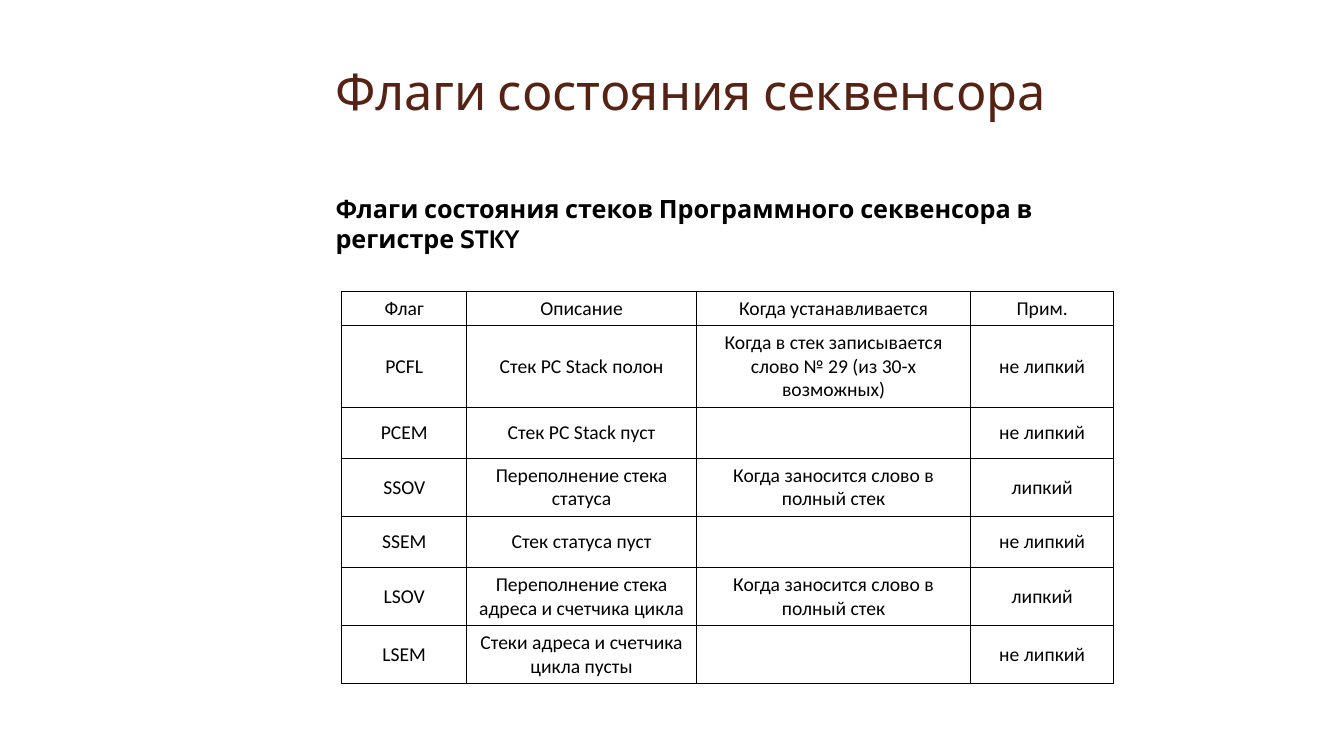
from lxml import etree
from pptx import Presentation
from pptx.dml.color import RGBColor
from pptx.enum.text import MSO_ANCHOR, PP_ALIGN
from pptx.oxml.ns import qn
from pptx.util import Inches, Pt

BOTTOM, MIDDLE, TOP = MSO_ANCHOR.BOTTOM, MSO_ANCHOR.MIDDLE, MSO_ANCHOR.TOP
CENTER = PP_ALIGN.CENTER

HEADING = "Флаги состояния секвенсора"
SUBHEADING = "Флаги состояния стеков Программного секвенсора в регистре STKY"
FULL_STACK = "Когда заносится слово в полный стек"
FLAGS = [
    ("Флаг", "Описание", "Когда устанавливается", "Прим."),
    ("PCFL", "Стек PC Stack полон",
     "Когда в стек записывается слово № 29 (из 30-х возможных)", "не липкий"),
    ("PCEM", "Стек PC Stack пуст", "", "не липкий"),
    ("SSOV", "Переполнение стека статуса", FULL_STACK, "липкий"),
    ("SSEM", "Стек статуса пуст", "", "не липкий"),
    ("LSOV", "Переполнение стека адреса и счетчика цикла", FULL_STACK, "липкий"),
    ("LSEM", "Стеки адреса и счетчика цикла пусты", "", "не липкий"),
]
COLUMN_SHARES = [9.3, 17.1, 20.4, 10.65]
ONE_LINE, TWO_LINES = 6.76, 7.7
ROW_SHARES = [4.53, 10.8, ONE_LINE, TWO_LINES, ONE_LINE, TWO_LINES, TWO_LINES]


def rgb(value):
    return RGBColor.from_string(value)


class FlagSlide:
    """Places elements on a slide by percentages of its width and height."""
    text_font, table_font = "Cabin", "Calibri"
    brown, black = "562214", "000000"

    def __init__(self, prs):
        self.width, self.height = prs.slide_width, prs.slide_height
        self.slide = prs.slides.add_slide(prs.slide_layouts[6])

    def x(self, share):
        return round(self.width * share / 100)

    def y(self, share):
        return round(self.height * share / 100)

    def style(self, p, font, size, color, bold=False):
        p.font.name, p.font.size, p.font.bold = font, Pt(size), bold
        p.font.color.rgb = rgb(color)

    def text(self, text, left, top, width, height, size, color,
             bold=False, anchor=TOP, spacing=1.0):
        sp = self.slide.shapes.add_textbox(
            self.x(left), self.y(top), self.x(width), self.y(height))
        tf = sp.text_frame
        tf.word_wrap, tf.vertical_anchor = True, anchor
        p = tf.paragraphs[0]
        p.text, p.line_spacing = text, spacing
        self.style(p, self.text_font, size, color, bold)

    def border(self, cell):
        props = cell._tc.get_or_add_tcPr()
        for position, side in enumerate(("lnL", "lnR", "lnT", "lnB")):
            line = etree.Element(qn(f"a:{side}"), w=str(Pt(1)))
            fill = etree.SubElement(line, qn("a:solidFill"))
            etree.SubElement(fill, qn("a:srgbClr"), val=self.black)
            props.insert(position, line)

    def table(self, rows, left, top, column_shares, row_shares, size):
        frame = self.slide.shapes.add_table(
            len(rows), len(column_shares), self.x(left), self.y(top),
            self.x(sum(column_shares)), self.y(sum(row_shares)))
        table = frame.table
        table.first_row = table.horz_banding = False
        for column, share in zip(table.columns, column_shares):
            column.width = self.x(share)
        for row, share, texts in zip(table.rows, row_shares, rows):
            row.height = self.y(share)
            for cell, text in zip(row.cells, texts):
                cell.fill.background()
                cell.vertical_anchor = MIDDLE
                p = cell.text_frame.paragraphs[0]
                p.text, p.alignment = text, CENTER
                self.style(p, self.table_font, size, self.black)
                self.border(cell)


def main():
    prs = Presentation()
    prs.slide_width, prs.slide_height = Inches(13.33), Inches(7.5)
    s = FlagSlide(prs)
    s.text(HEADING, 24.23, 2.13, 60.75, 14.53, 36, s.brown,
           anchor=BOTTOM, spacing=0.9)
    s.table(FLAGS, 25.43, 38.53, COLUMN_SHARES, ROW_SHARES, 14)
    s.text(SUBHEADING, 24.23, 24.93, 60.4, 5.33, 18, s.black, bold=True)
    prs.save("out.pptx")


if __name__ == "__main__":
    main()
